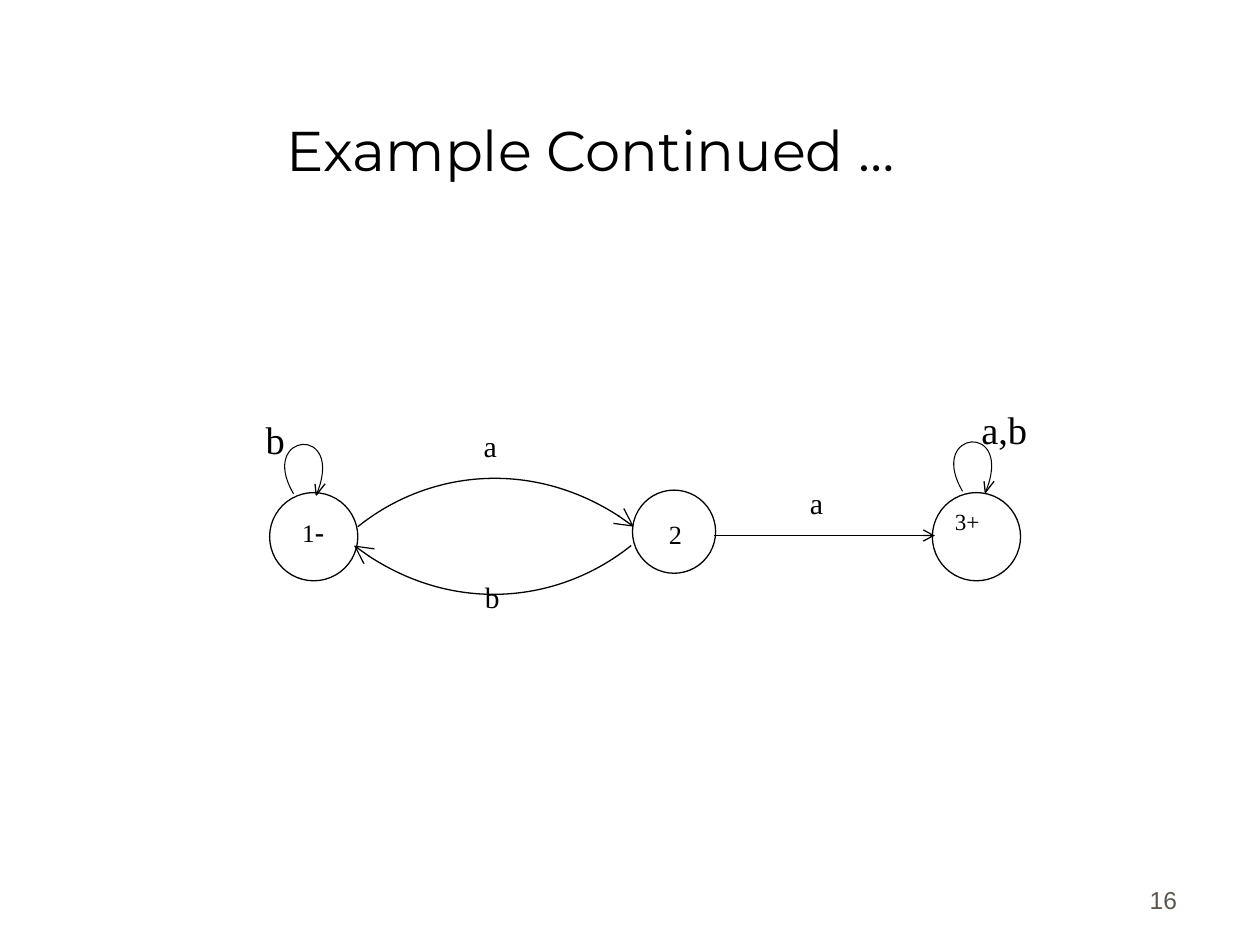
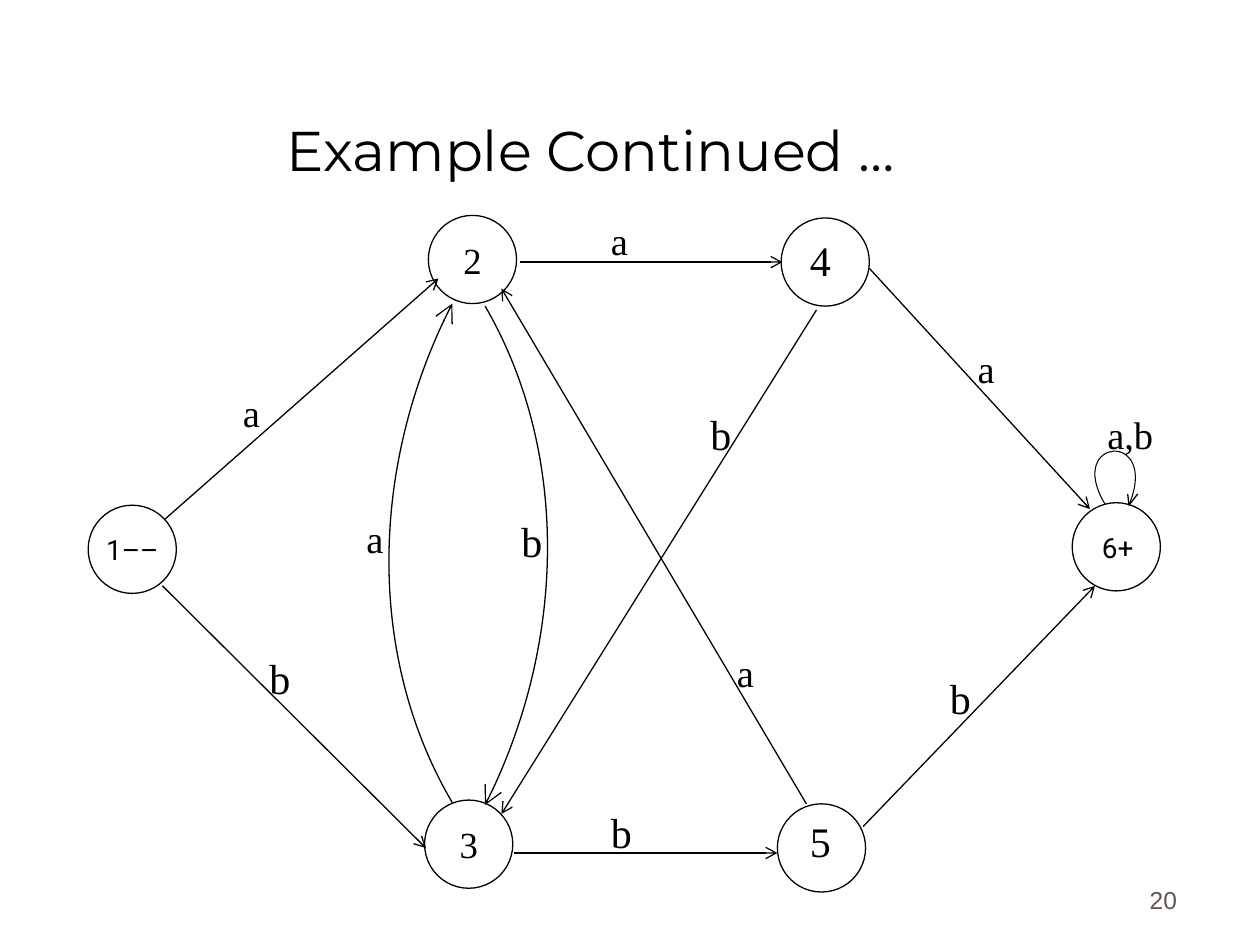
from dataclasses import dataclass

from lxml import etree
from pptx import Presentation
from pptx import util as u
from pptx.dml.color import RGBColor
from pptx.enum import shapes, text
from pptx.oxml.ns import qn

PX = 9144  # EMU in one px, 100 px to the inch


def px(*lengths):
    return [u.Emu(length * PX) for length in lengths]


@dataclass(frozen=True)
class Theme:
    ink: RGBColor = RGBColor(0, 0, 0)
    paper: RGBColor = RGBColor(0xFF, 0xFF, 0xFF)
    muted: RGBColor = RGBColor(0x5E, 0x57, 0x4E)
    title_font: str = "Montserrat"
    body_font: str = "Times New Roman"
    state_font: str = "Roboto"
    number_font: str = "Arial"
    title: float = 32
    number: float = 14
    large: float = 24
    label: float = 22
    digit: float = 21
    small: float = 17.1
    small_b: float = 16.8
    final: float = 13.2
    start: float = 14.4
    minus: float = 16.1
    middle: float = 15
    marked: float = 16
    line: float = 0.75
    loop: float = 0.6


class AutomatonDeck:
    """Draws state diagrams, one page at a time, in one theme."""

    def __init__(self, theme):
        self.theme = theme
        self.deck = Presentation()
        self.deck.slide_width, self.deck.slide_height = px(1000, 750)
        self.page = None

    def add_page(self, title, number):
        theme = self.theme
        self.page = self.deck.slides.add_slide(self.deck.slide_layouts[5])
        holder = self.page.shapes.title
        holder.left, holder.top, holder.width, holder.height = px(44, 25, 850, 125)
        frame = holder.text_frame
        frame.auto_size = text.MSO_AUTO_SIZE.NONE
        frame.vertical_anchor = text.MSO_ANCHOR.BOTTOM
        self.set_text(frame, title, theme.title, theme.title_font,
                      text.PP_ALIGN.CENTER)

        box = self.page.shapes.add_textbox(*px(736, 681, 208, 50))
        box.text_frame.word_wrap = True
        box.text_frame.vertical_anchor = text.MSO_ANCHOR.BOTTOM
        para = self.set_text(box.text_frame, str(number), theme.number,
                             theme.number_font, text.PP_ALIGN.RIGHT)
        para.font.color.rgb = theme.muted
        para.space_before = u.Pt(8.8)

    def set_text(self, frame, words, size, font=None, align=text.PP_ALIGN.LEFT):
        para = frame.paragraphs[0]
        para.text = words
        para.alignment = align
        para.font.name = font or self.theme.body_font
        para.font.size = u.Pt(size)
        para.font.color.rgb = self.theme.ink
        return para

    def label(self, words, left, top, size, width=98, height=67, spacing=None):
        box = self.page.shapes.add_textbox(*px(left, top, width, height))
        box.text_frame.word_wrap = True
        para = self.set_text(box.text_frame, words, size)
        if spacing:
            para.line_spacing = spacing
        return para

    def centred_label(self, words, left, top, width, height, size, font=None):
        """Add a centred label that starts one small line below the box top."""
        box = self.page.shapes.add_textbox(*px(left, top, width, height))
        box.text_frame.word_wrap = True
        box.text_frame.margin_top = px(23)[0]
        self.set_text(box.text_frame, words, size, font, text.PP_ALIGN.CENTER)

    def state(self, left, top, size=70, digit=None):
        circle = self.page.shapes.add_shape(
            shapes.MSO_SHAPE.OVAL, *px(left, top, size, size))
        circle.shadow.inherit = False
        circle.fill.solid()
        circle.fill.fore_color.rgb = self.theme.paper
        self.stroke(circle.line)
        if digit:
            frame = circle.text_frame
            frame.vertical_anchor = text.MSO_ANCHOR.MIDDLE
            para = self.set_text(frame, digit, self.theme.digit,
                                 align=text.PP_ALIGN.CENTER)
            # The shape style's white needs a colour on the run itself.
            para.runs[0].font.color.rgb = self.theme.ink

    def stroke(self, line, width=None):
        line.color.rgb = self.theme.ink
        line.width = u.Pt(width or self.theme.line)

    def arrowhead(self, shape, size):
        etree.SubElement(shape.get_or_add_ln(), qn("a:tailEnd"),
                         type="arrow", w=size, len=size)

    def line(self, start, end, arrow=True):
        connector = self.page.shapes.add_connector(
            shapes.MSO_CONNECTOR.STRAIGHT, *px(*start, *end))
        self.stroke(connector.line)
        if arrow:
            self.arrowhead(connector, "med")
        etree.SubElement(connector._element.spPr, qn("a:effectLst"))

    def curve(self, start, *controls_and_end, width=None, arrow=True):
        """Draw one cubic Bezier from start through two controls to its end."""
        builder = self.page.shapes.build_freeform(*start, scale=PX)
        builder.add_line_segments(controls_and_end, close=False)
        arc = builder.convert_to_shape()
        segments = arc._element.xpath(".//a:lnTo")
        bezier = etree.SubElement(segments[0].getparent(), qn("a:cubicBezTo"))
        for segment in segments:
            bezier.append(segment[0])
            segment.getparent().remove(segment)
        arc.shadow.inherit = False
        arc.fill.background()
        self.stroke(arc.line, width)
        if arrow:
            self.arrowhead(arc, "lg")

    def loop(self, x, y, reach=(-29, -49, 42, -56), span=18):
        """Draw a self-loop from (x, y) with its two-stroke head."""
        left, left_rise, right, right_rise = reach
        tip = (x + span, y + 1)
        self.curve((x, y), (x + left, y + left_rise), (x + right, y + right_rise),
                   tip, width=self.theme.loop, arrow=False)
        for barb in ((x + span + 7, y - 8), (x + span - 1, y - 8)):
            self.line(barb, tip, arrow=False)


def draw_three_states(slides):
    theme = slides.theme
    slides.add_page("Example Continued …", 16)
    slides.state(214, 391)
    slides.state(502, 389, size=66)
    slides.state(740, 391)
    slides.centred_label("2", 490, 388, 92, 64, theme.middle)

    slides.loop(233, 392)
    slides.loop(764, 390)
    slides.curve((284, 418), (340, 373), (431, 363), (503, 418))
    slides.curve((501, 433), (445, 478), (354, 489), (281, 433))
    slides.line((567, 425), (742, 425))

    slides.label("b", 201, 325, theme.label)
    slides.label("a,b", 769, 317, theme.label)
    for words, left, top, size in (
        ("a", 374, 340, theme.small),
        ("a", 633, 385, theme.small),
        ("b", 375, 460, theme.small_b),
    ):
        slides.label(words, left, top, size, 41, 40, spacing=0.8)
    slides.label("3+", 748, 402, theme.final, 77, 34, spacing=0.8)
    start = slides.label("1", 230, 406, theme.start, 41, 40, spacing=0.9)
    minus = start.add_run()
    minus.text = "-"
    minus.font.size = u.Pt(theme.minus)
    minus.font.bold = True


def draw_six_states(slides):
    theme = slides.theme
    slides.add_page("Example Continued …", 20)
    for left, top, digit in (
        (70, 401, None), (340, 171, "2"), (337, 635, "3"),
        (620, 173, None), (617, 638, None), (851, 399, None),
    ):
        slides.state(left, top, digit=digit)
    for words, left, top in (("1––", 56, 400), ("6+", 838, 398)):
        slides.centred_label(words, left, top, 98, 68, theme.marked, theme.state_font)

    slides.loop(877, 400, reach=(-32, -53, 44, -59), span=19)
    slides.curve((385, 243), (450, 355), (450, 511), (385, 639))
    slides.curve((359, 637), (293, 525), (293, 369), (359, 241))
    for start, end in (
        ((413, 208), (621, 208)),
        ((408, 677), (617, 677)),
        ((131, 412), (348, 221)),
        ((129, 465), (338, 673)),
        ((685, 656), (869, 465)),
        ((690, 213), (865, 404)),
        ((640, 638), (398, 229)),
        ((648, 246), (398, 646)),
    ):
        slides.line(start, end)

    for size, labels in (
        (theme.label, (("a", 183, 304), ("a", 475, 167), ("a", 766, 269),
                       ("a,b", 869, 321), ("a", 281, 404), ("a", 575, 510))),
        (theme.large, (("4", 633, 181), ("5", 633, 642), ("b", 204, 513),
                       ("b", 475, 635), ("b", 744, 529), ("b", 404, 404),
                       ("b", 554, 319))),
    ):
        for words, left, top in labels:
            slides.label(words, left, top, size)


def main():
    slides = AutomatonDeck(Theme())
    draw_three_states(slides)
    draw_six_states(slides)
    slides.deck.save("out.pptx")


if __name__ == "__main__":
    main()
